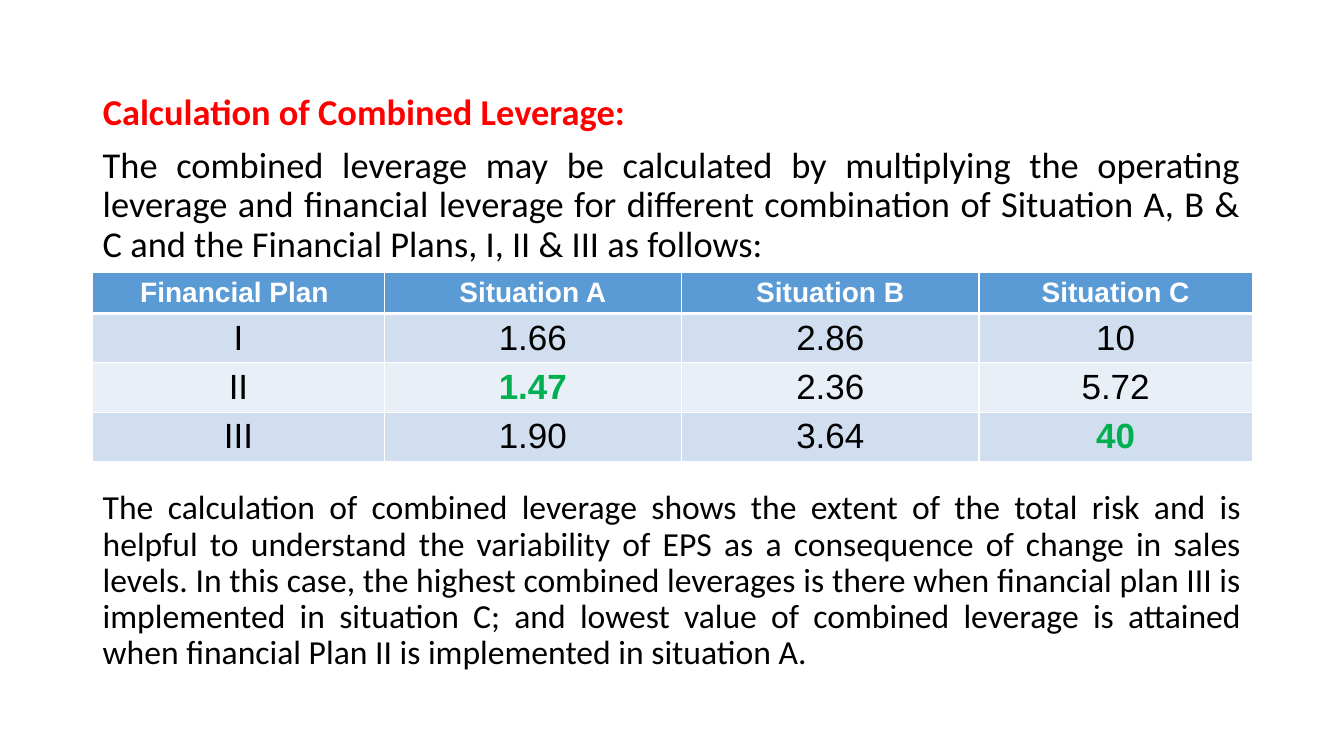
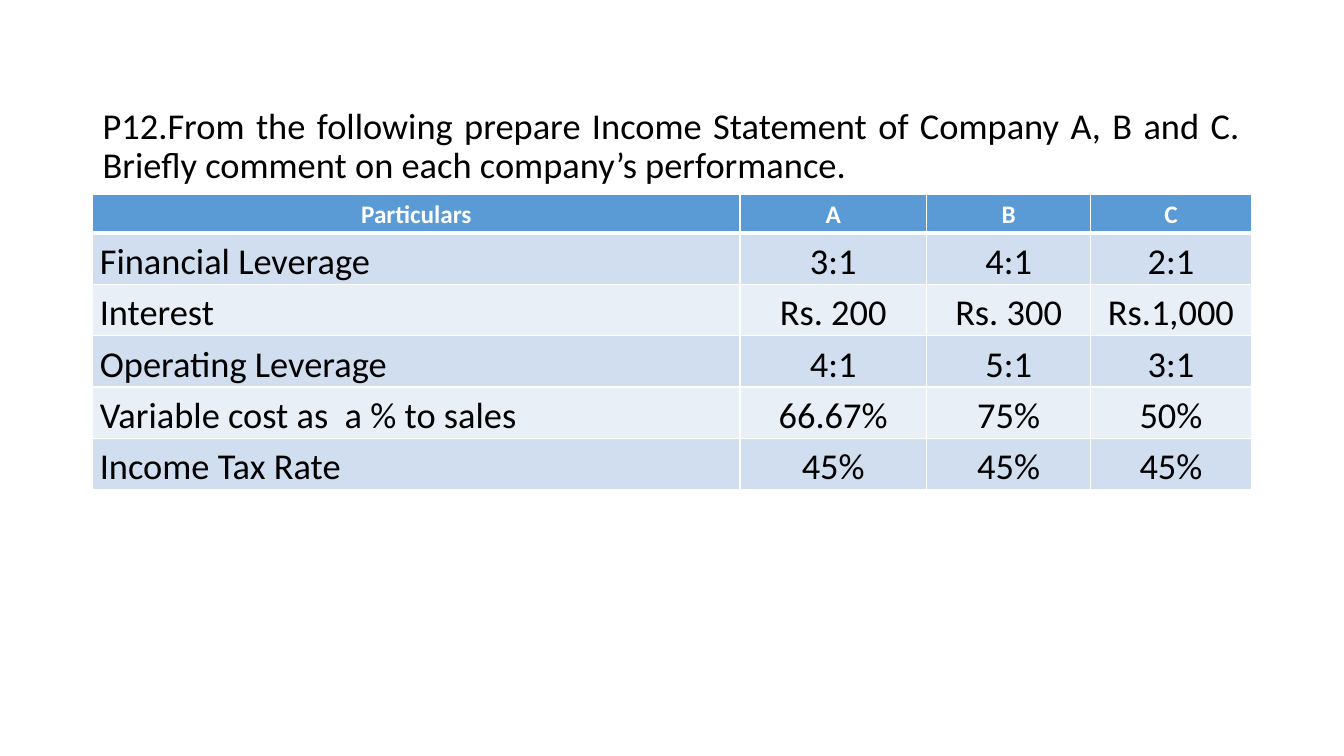
from dataclasses import dataclass

from lxml import etree
from pptx import Presentation
from pptx.dml.color import RGBColor
from pptx.enum.text import MSO_ANCHOR, MSO_AUTO_SIZE, PP_ALIGN
from pptx.oxml.ns import qn
from pptx.util import Inches, Pt

LEFT, CENTER, JUSTIFY = PP_ALIGN.LEFT, PP_ALIGN.CENTER, PP_ALIGN.JUSTIFY
TOP = MSO_ANCHOR.TOP
NO_AUTOFIT = MSO_AUTO_SIZE.NONE
TITLE_ONLY, BLANK = 5, 6


@dataclass(frozen=True)
class Theme:
    # Colours
    ink: str = "000000"
    white: str = "FFFFFF"
    title: str = "FF0000"
    highlight: str = "00B050"
    header: str = "5B9BD5"
    bands: tuple = ("D0DEEF", "E9EFF7")
    # Fonts and type sizes
    body_font: str = "Calibri"
    body_size: int = 26
    note_size: int = 24
    line_spacing: float = 0.9
    # Shared edges, in inches
    left: float = 0.92
    width: float = 11.49
    # Table borders, in points
    border: int = 1
    header_border: int = 3


THEME = Theme()


@dataclass(frozen=True)
class TableStyle:
    font: str
    header_size: int
    body_size: int
    header_height: float
    row_height: float
    margin_x: float
    margin_y: float
    spacing: float = 1.0
    label_align: PP_ALIGN = CENTER


PLAN_STYLE = TableStyle("Arial", 20, 25, 0.41, 0.49, 0.1, 0.05)
COMPANY_STYLE = TableStyle("Calibri", 18, 26, 0.38, 0.51, 0.07, 0,
                           spacing=1.15, label_align=JUSTIFY)


def set_text(frame, text, *, size=THEME.body_size, font=THEME.body_font,
             color=THEME.ink, bold=False, align=JUSTIFY,
             spacing=THEME.line_spacing):
    """Write one formatted paragraph into a text frame."""
    para = frame.paragraphs[0]
    para.alignment = align
    para.line_spacing = spacing
    span = para.add_run()
    span.text = text
    span.font.size = Pt(size)
    span.font.name = font
    span.font.bold = bold
    span.font.color.rgb = RGBColor.from_string(color)


def prepare_frame(frame):
    frame.word_wrap = True
    frame.auto_size = NO_AUTOFIT
    frame.vertical_anchor = TOP


def add_title(page, text, top, height):
    box = page.shapes.title
    box.left, box.top = Inches(THEME.left), Inches(top)
    box.width, box.height = Inches(THEME.width), Inches(height)
    prepare_frame(box.text_frame)
    set_text(box.text_frame, text, color=THEME.title, bold=True, align=LEFT)


def add_text(page, text, top, height, **text_format):
    box = page.shapes.add_textbox(Inches(THEME.left), Inches(top),
                                  Inches(THEME.width), Inches(height))
    prepare_frame(box.text_frame)
    set_text(box.text_frame, text, **text_format)


def set_borders(cell, **widths):
    """Draw white cell borders; widths are points by side (L, R, T, B)."""
    properties = cell._tc.get_or_add_tcPr()
    for side in "LRTB":
        width = widths.get(side, THEME.border)
        line = etree.SubElement(properties, qn(f"a:ln{side}"), w=str(Pt(width)))
        fill = etree.SubElement(line, qn("a:solidFill"))
        etree.SubElement(fill, qn("a:srgbClr"), val=THEME.white)


def format_cell(cell, text, fill, style, **text_format):
    cell.margin_left = cell.margin_right = Inches(style.margin_x)
    cell.margin_top = cell.margin_bottom = Inches(style.margin_y)
    cell.fill.solid()
    cell.fill.fore_color.rgb = RGBColor.from_string(fill)
    set_text(cell.text_frame, text, font=style.font, spacing=style.spacing,
             **text_format)


def add_data_table(page, rows, top, column_widths, style, highlights=()):
    """Add a banded table whose first row is the header."""
    heights = [style.header_height] + [style.row_height] * (len(rows) - 1)
    table = page.shapes.add_table(
        len(rows), len(column_widths), Inches(THEME.left), Inches(top),
        Inches(sum(column_widths)), Inches(sum(heights))).table
    table.first_row = table.horz_banding = False
    for column, width in zip(table.columns, column_widths):
        column.width = Inches(width)

    for row_index, (values, height) in enumerate(zip(rows, heights)):
        table.rows[row_index].height = Inches(height)
        for column_index, text in enumerate(values):
            cell = table.cell(row_index, column_index)
            if row_index == 0:
                set_borders(cell, B=THEME.header_border)
                format_cell(cell, text, THEME.header, style,
                            size=style.header_size, color=THEME.white,
                            bold=True, align=CENTER)
                continue
            marked = text in highlights
            set_borders(cell, T=THEME.header_border if row_index == 1
                        else THEME.border)
            format_cell(cell, text, THEME.bands[(row_index - 1) % 2], style,
                        size=style.body_size, bold=marked,
                        color=THEME.highlight if marked else THEME.ink,
                        align=CENTER if column_index else style.label_align)


def build_combined_leverage(deck):
    page = deck.slides.add_slide(deck.slide_layouts[TITLE_ONLY])
    add_title(page, "Calculation of Combined Leverage:", 0.88, 0.5)
    add_text(page, "The combined leverage may be calculated by multiplying the "
             "operating leverage and financial leverage for different "
             "combination of Situation A, B & C and the Financial Plans, "
             "I, II & III as follows:", 1.41, 1.27)
    add_data_table(page, [
        ("Financial Plan ", "Situation A", "Situation B", "Situation C"),
        ("I", "1.66", "2.86", "10"),
        ("II", "1.47", "2.36", "5.72"),
        ("III", "1.90", "3.64", "40"),
    ], 2.7, (2.89, 2.95, 2.95, 2.71), PLAN_STYLE, highlights=("1.47", "40"))
    add_text(page, "The calculation of combined leverage shows the extent of "
             "the total risk and is helpful to understand the variability of "
             "EPS as a consequence of change in sales levels. In this case, "
             "the highest combined leverages is there when financial plan III "
             "is implemented in situation C; and lowest value of combined "
             "leverage is attained when financial Plan II is implemented in "
             "situation A.", 4.82, 1.94, size=THEME.note_size)


def build_income_problem(deck):
    page = deck.slides.add_slide(deck.slide_layouts[BLANK])
    add_text(page, "P12.From the following prepare Income Statement of Company "
             "A, B and C. Briefly comment on each company’s performance.",
             1.02, 0.9)
    add_data_table(page, [
        ("Particulars", "A", "B", "C"),
        ("Financial Leverage", "3:1", "4:1", "2:1"),
        ("Interest", "Rs. 200", "Rs. 300", "Rs.1,000"),
        ("Operating Leverage", "4:1", "5:1", "3:1"),
        ("Variable cost as  a % to sales", "66.67%", "75%", "50%"),
        ("Income Tax Rate", "45%", "45%", "45%"),
    ], 1.93, (6.42, 1.85, 1.63, 1.59), COMPANY_STYLE)


def main():
    deck = Presentation()
    deck.slide_width, deck.slide_height = Inches(13.33), Inches(7.5)
    build_combined_leverage(deck)
    build_income_problem(deck)
    deck.save("out.pptx")


if __name__ == "__main__":
    main()
